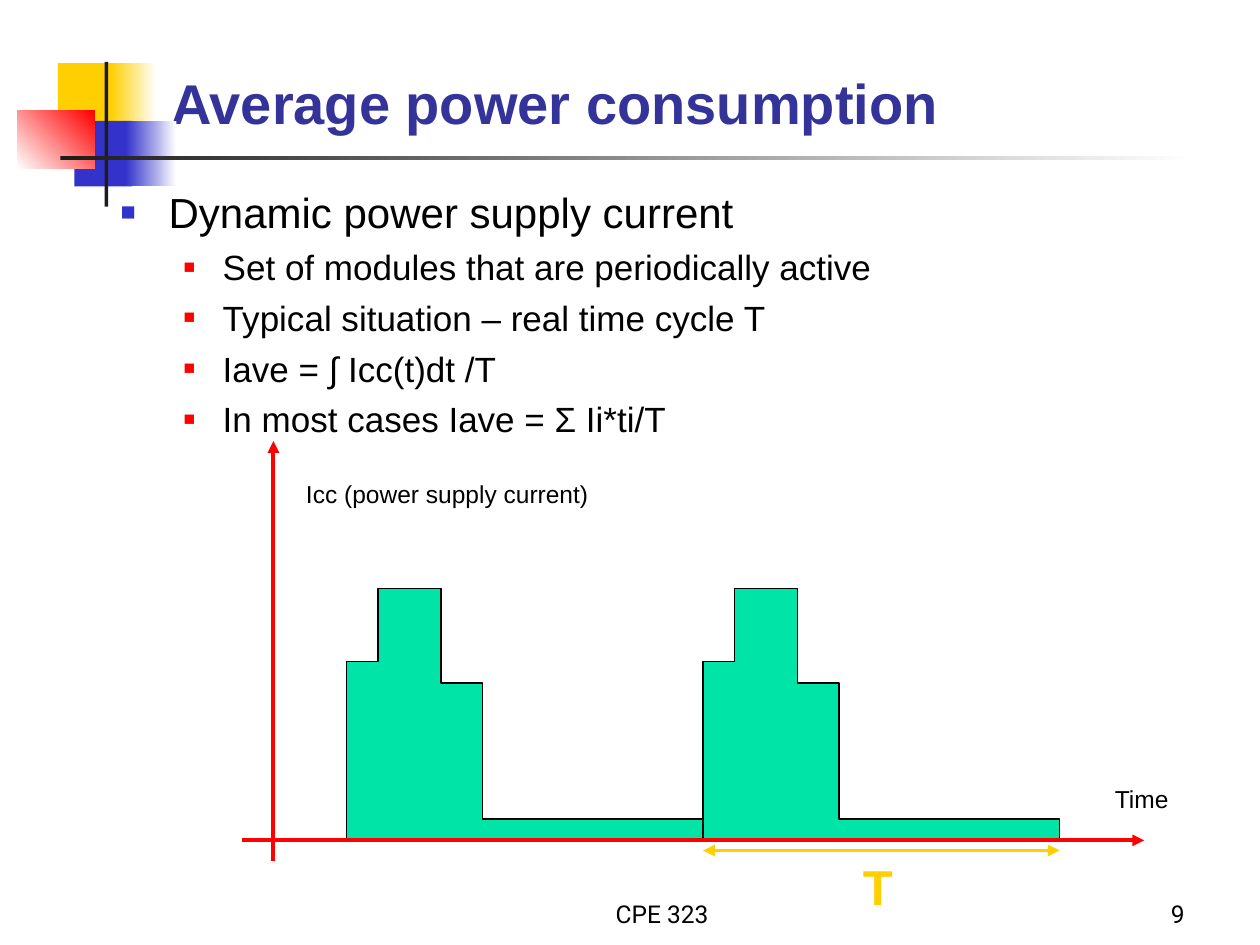
from lxml import etree
from pptx import Presentation
from pptx.dml.color import RGBColor
from pptx.enum.shapes import MSO_CONNECTOR, MSO_SHAPE
from pptx.enum.text import MSO_ANCHOR, MSO_AUTO_SIZE, PP_ALIGN
from pptx.oxml.ns import qn
from pptx.util import Inches, Pt

RECTANGLE = MSO_SHAPE.RECTANGLE
STRAIGHT = MSO_CONNECTOR.STRAIGHT
TOP, BOTTOM = MSO_ANCHOR.TOP, MSO_ANCHOR.BOTTOM
LEFT, CENTER, RIGHT = PP_ALIGN.LEFT, PP_ALIGN.CENTER, PP_ALIGN.RIGHT
FIXED = MSO_AUTO_SIZE.NONE

COLORS = {
    "yellow": "FFCF01", "blue": "3333CC", "red": "FF0000", "white": "FFFFFF",
    "dark": "1C1C1C", "black": "000000", "title": "333399", "green": "00E4A8",
}
BULLET_STYLES = [
    {"size": 24, "margin": 0.38, "hanging": 0.38, "before": 6, "color": "blue", "percent": 60},
    {"size": 20, "margin": 0.81, "hanging": 0.31, "before": 5, "color": "red", "percent": 55},
]
BULLETS = [
    (0, "Dynamic power supply current"),
    (1, "Set of modules that are periodically active"),
    (1, "Typical situation – real time cycle T"),
    (1, "Iave = ∫ Icc(t)dt /T"),
    (1, "In most cases Iave = Σ Ii*ti/T"),
]
BASELINE = 6.67
CYCLE_START, PERIOD = 2.75, 2.83
# Each step of the load: offset where it ends within the cycle, and its top
LOAD_STEPS = [(0.25, 5.25), (0.75, 4.67), (1.08, 5.42), (PERIOD, 6.5)]


def rgb(name):
    return RGBColor.from_string(COLORS[name])


def write(para, text, size=14, color="black", bold=False, font="Arial", align=LEFT):
    para.alignment = align
    span = para.add_run()
    span.text = text
    span.font.name = font
    span.font.size = Pt(size)
    span.font.bold = bold
    span.font.color.rgb = rgb(color)


def add_bullet(para, style):
    properties = para._p.get_or_add_pPr()
    properties.set("marL", str(Inches(style["margin"])))
    properties.set("indent", str(-Inches(style["hanging"])))
    bullet_color = etree.SubElement(properties, qn("a:buClr"))
    etree.SubElement(bullet_color, qn("a:srgbClr"), val=COLORS[style["color"]])
    etree.SubElement(properties, qn("a:buSzPct"), val=str(style["percent"] * 1000))
    etree.SubElement(properties, qn("a:buFont"), typeface="Arial")
    etree.SubElement(properties, qn("a:buChar"), char="■")


class SlideBuilder:
    """Holds the current slide and draws its elements in one style."""

    def __init__(self, slide):
        self.slide = slide
        self.shapes = slide.shapes

    def title(self, text, left, top, width, height):
        box = self.shapes.title
        box.left, box.top = Inches(left), Inches(top)
        box.width, box.height = Inches(width), Inches(height)
        frame = box.text_frame
        frame.auto_size = FIXED
        frame.vertical_anchor = BOTTOM
        write(frame.paragraphs[0], text, size=32, color="title", bold=True)

    def rectangle(self, left, top, width, height, color, end_color=None, angle=0):
        """Plain fill, or a gradient from color to end_color."""
        box = self.shapes.add_shape(
            RECTANGLE, Inches(left), Inches(top), Inches(width), Inches(height))
        box.shadow.inherit = False
        box.line.fill.background()
        if end_color is None:
            box.fill.solid()
            box.fill.fore_color.rgb = rgb(color)
            return
        box.fill.gradient()
        box.fill.gradient_angle = angle
        for stop, name in zip(box.fill.gradient_stops, (color, end_color)):
            stop.color.rgb = rgb(name)

    def text_frame(self, left, top, width, height, anchor=TOP, wrap=True):
        box = self.shapes.add_textbox(
            Inches(left), Inches(top), Inches(width), Inches(height))
        frame = box.text_frame
        frame.word_wrap = wrap
        frame.vertical_anchor = anchor
        return frame

    def label(self, text, left, top, width, height, anchor=TOP, wrap=False, **style):
        frame = self.text_frame(left, top, width, height, anchor, wrap)
        write(frame.paragraphs[0], text, **style)

    def bullets(self, items, left, top, width, height):
        frame = self.text_frame(left, top, width, height)
        for index, (level, text) in enumerate(items):
            para = frame.add_paragraph() if index else frame.paragraphs[0]
            style = BULLET_STYLES[level]
            add_bullet(para, style)
            para.level = level
            if index:
                para.space_before = Pt(style["before"])
            write(para, text, size=style["size"])

    def load_cycle(self, start):
        """Stepped outline of the supply current over one period."""
        points, left = [], start
        for offset, top in LOAD_STEPS:
            right = start + offset
            points += [(left, top), (right, top)]
            left = right
        points.append((left, BASELINE))
        builder = self.shapes.build_freeform(Inches(start), Inches(BASELINE))
        builder.add_line_segments([(Inches(x), Inches(y)) for x, y in points], close=True)
        outline = builder.convert_to_shape()
        outline.shadow.inherit = False
        outline.fill.solid()
        outline.fill.fore_color.rgb = rgb("green")
        outline.line.color.rgb = rgb("black")
        outline.line.width = Pt(0.75)

    def arrow(self, start, end, color, both_ends=False):
        line = self.shapes.add_connector(
            STRAIGHT, *(Inches(value) for value in (*start, *end)))
        line.line.color.rgb = rgb(color)
        line.line.width = Pt(2.25)
        outline = line.line._get_or_add_ln()
        for tag in ("a:headEnd", "a:tailEnd") if both_ends else ("a:tailEnd",):
            etree.SubElement(outline, qn(tag), type="triangle")
        etree.SubElement(line._element.spPr, qn("a:effectLst"))


def main():
    deck = Presentation()
    deck.slide_width, deck.slide_height = Inches(10), Inches(7.5)
    page = SlideBuilder(deck.slides.add_slide(deck.slide_layouts[5]))

    page.rectangle(0.46, 0.5, 0.48, 0.52, "yellow")
    page.rectangle(0.88, 0.5, 0.36, 0.52, "yellow", "white")
    page.rectangle(0.59, 0.96, 0.46, 0.52, "blue")
    page.rectangle(1, 0.96, 0.4, 0.52, "blue", "white")
    page.rectangle(0.14, 0.88, 0.61, 0.46, "white", "red", angle=45)
    page.rectangle(0.83, 0.49, 0.03, 1.15, "dark")
    page.rectangle(0.48, 1.24, 9, 0.03, "dark", "white")

    page.title("Average power consumption", 1.26, 0.18, 8.52, 0.95)
    page.bullets(BULLETS, 0.86, 1.43, 8.93, 5.79)
    footer = {"anchor": BOTTOM, "wrap": True, "font": "Roboto"}
    page.label("CPE 323", 3.67, 6.92, 3.17, 0.5, align=CENTER, **footer)
    page.label("9", 7.42, 6.92, 2.08, 0.5, align=RIGHT, **footer)

    second_start = CYCLE_START + PERIOD
    for start in (second_start, CYCLE_START):
        page.load_cycle(start)
    page.arrow((2.17, 6.83), (2.17, 3.5), "red")
    page.arrow((1.92, BASELINE), (9.08, BASELINE), "red")
    page.label("Icc (power supply current)", 2.33, 3.75, 2.49, 0.34)
    page.label("Time", 8.75, 6.17, 0.69, 0.34)
    page.arrow((second_start, 6.75), (second_start + PERIOD, 6.75), "yellow", both_ends=True)
    page.label("T", 6.75, 6.75, 0.54, 0.57, size=28, color="yellow", bold=True)

    deck.save("out.pptx")


if __name__ == "__main__":
    main()
